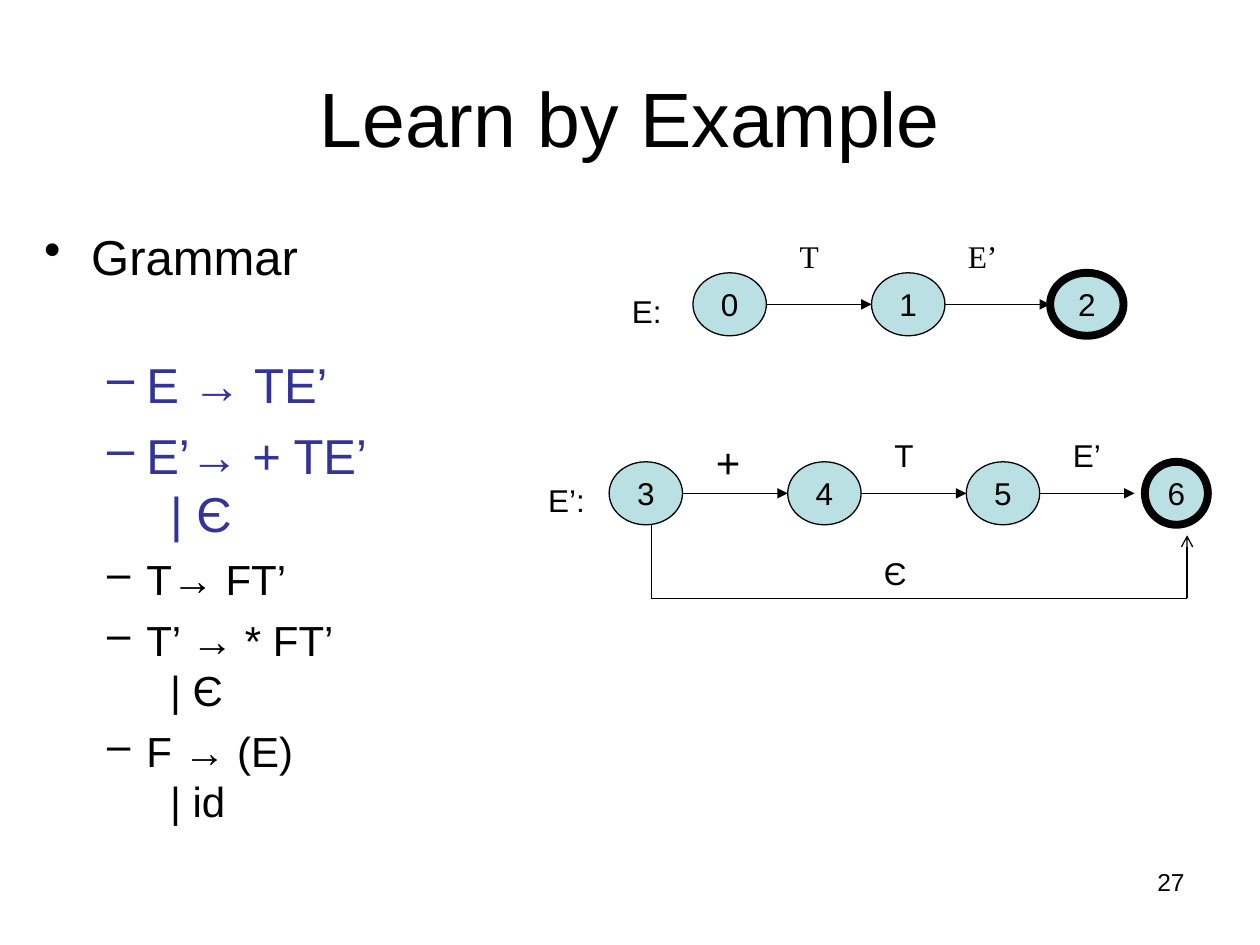
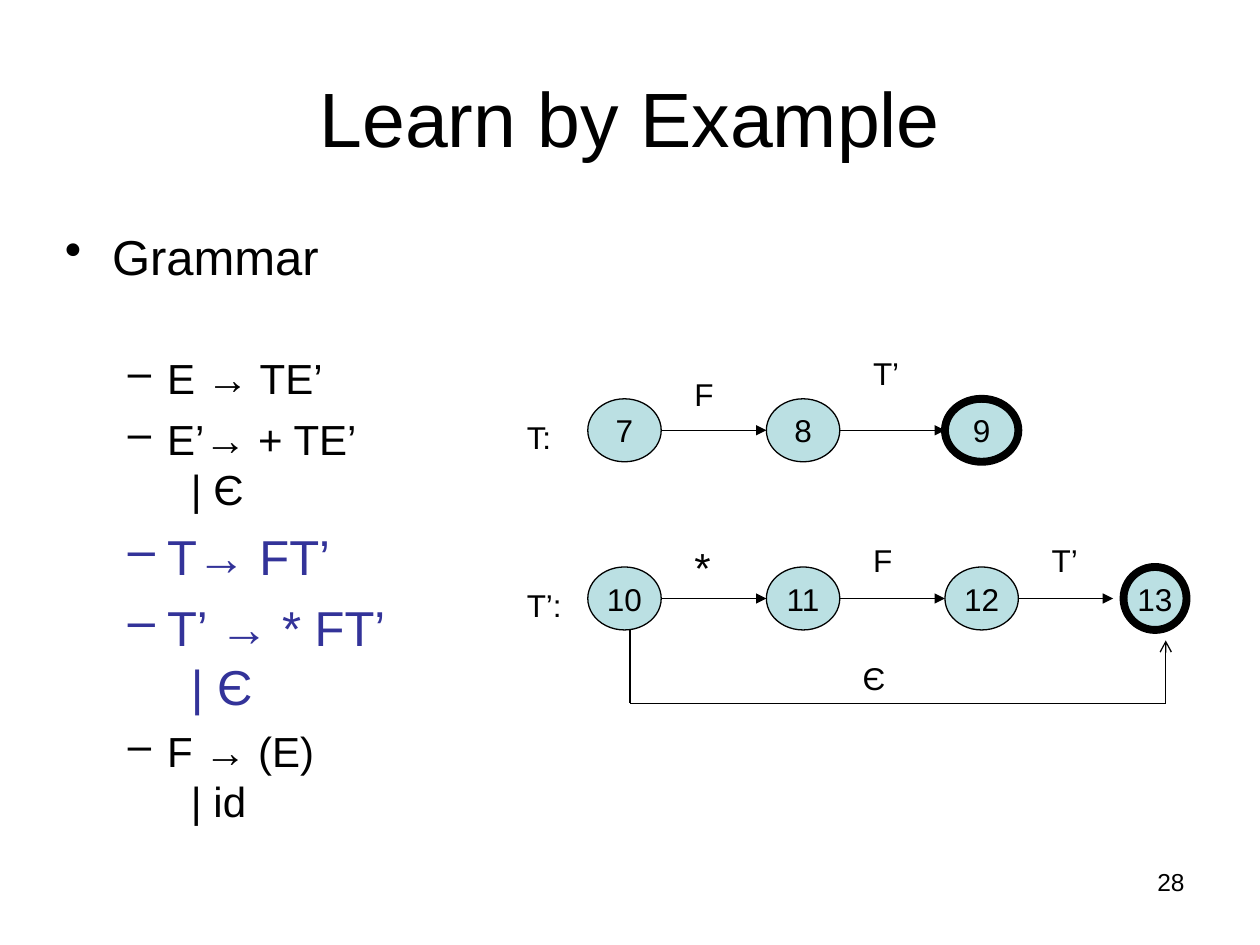
from dataclasses import dataclass

from lxml import etree
from pptx import Presentation
from pptx.dml.color import RGBColor
from pptx.enum.shapes import MSO_CONNECTOR, MSO_SHAPE
from pptx.enum.text import MSO_ANCHOR, MSO_AUTO_SIZE, PP_ALIGN
from pptx.oxml.ns import qn
from pptx.util import Cm, Pt

STRAIGHT = MSO_CONNECTOR.STRAIGHT
ELLIPSE = MSO_SHAPE.OVAL
MIDDLE = MSO_ANCHOR.MIDDLE
TOP = MSO_ANCHOR.TOP
GROW = MSO_AUTO_SIZE.SHAPE_TO_FIT_TEXT
LEFT, CENTER, RIGHT = PP_ALIGN.LEFT, PP_ALIGN.CENTER, PP_ALIGN.RIGHT

STEP = 3.6
NODE_WIDTH = 1.48
NODE_HEIGHT = 1.27
LOOP_END_WIDTH = 1.27
TAB_STOP = 2.54


@dataclass(frozen=True)
class Theme:
    font: str = "Arial"
    serif: str = "Times New Roman"
    ink: str = "000000"
    accent: str = "333399"
    node_fill: str = "BBE0E3"
    title_size: int = 44
    large: int = 28
    medium: int = 24
    label: int = 18
    footer: int = 14
    thin: float = 0.75
    thick: float = 4.5


THEME = Theme()


@dataclass(frozen=True)
class Edge:
    text: str
    rise: float = 0.64
    width: float = 1.27
    shift: float = 1.9
    font: str = THEME.font
    size: int = THEME.label


@dataclass(frozen=True)
class Automaton:
    name: str
    left: float
    top: float
    first_state: int
    edges: tuple
    loop: bool = False


def write(paragraph, text, size=THEME.label, color=THEME.ink, font=THEME.font, align=LEFT):
    paragraph.text = text
    paragraph.alignment = align
    for span in paragraph.runs:
        span.font.size = Pt(size)
        span.font.name = font
        span.font.color.rgb = RGBColor.from_string(color)


def add_bullet(paragraph, mark, color, margin, hanging):
    properties = paragraph._p.get_or_add_pPr()
    properties.set("marL", str(Cm(margin)))
    properties.set("indent", str(-Cm(hanging)))
    bullet_color = etree.SubElement(properties, qn("a:buClr"))
    etree.SubElement(bullet_color, qn("a:srgbClr"), val=color)
    etree.SubElement(properties, qn("a:buChar"), char=mark)
    tabs = etree.SubElement(properties, qn("a:tabLst"))
    etree.SubElement(tabs, qn("a:tab"), pos=str(Cm(TAB_STOP)), algn="l")


class DeckBuilder:
    def __init__(self, theme):
        self.theme = theme
        self.deck = Presentation()
        self.deck.slide_width = Cm(25.4)
        self.deck.slide_height = Cm(19.05)
        self.page = None

    def add_page(self, title, number):
        self.page = self.deck.slides.add_slide(self.deck.slide_layouts[5])
        box = self.page.shapes.title
        box.left, box.top, box.width, box.height = Cm(1.27), Cm(0.76), Cm(22.86), Cm(3.18)
        box.text_frame.vertical_anchor = MIDDLE
        write(box.text_frame.paragraphs[0], title, size=self.theme.title_size, align=CENTER)
        self.add_text(str(number), 18.2, 17.35, 5.93, 1.32,
                      size=self.theme.footer, align=RIGHT)

    def add_box(self, left, top, width, height):
        box = self.page.shapes.add_textbox(Cm(left), Cm(top), Cm(width), Cm(height))
        box.text_frame.word_wrap = True
        box.text_frame.vertical_anchor = TOP
        return box

    def add_text(self, text, left, top, width, height, grow=False, **style):
        frame = self.add_box(left, top, width, height).text_frame
        if grow:
            frame.auto_size = GROW
        write(frame.paragraphs[0], text, **style)

    def add_label(self, text, left, top, width, size=THEME.label, font=THEME.font):
        height = 1.02 if size == self.theme.label else 1.27
        self.add_text(text, left, top, width, height, grow=True, size=size, font=font)

    def add_grammar(self, rules, highlighted, left, width):
        theme = self.theme
        frame = self.add_box(left, 4.45, width, 12.57).text_frame
        heading = frame.paragraphs[0]
        write(heading, "Grammar", size=theme.large)
        heading.space_before = Pt(7)
        heading.space_after = Pt(32)
        add_bullet(heading, "•", theme.ink, 0.95, 0.95)
        for index, rule in enumerate(rules):
            active = index in highlighted
            size = theme.large if active else theme.medium
            color = theme.accent if active else theme.ink
            paragraph = frame.add_paragraph()
            paragraph.level = 1
            write(paragraph, rule, size=size, color=color)
            paragraph.space_before = Pt(size / 4)
            paragraph.space_after = Pt(0)
            add_bullet(paragraph, "–", color, 2.06, 0.79)

    def add_node(self, text, left, top, width, final):
        theme = self.theme
        node = self.page.shapes.add_shape(
            ELLIPSE, Cm(left), Cm(top), Cm(width), Cm(NODE_HEIGHT))
        node.shadow.inherit = False
        node.fill.solid()
        node.fill.fore_color.rgb = RGBColor.from_string(theme.node_fill)
        node.line.color.rgb = RGBColor.from_string(theme.ink)
        node.line.width = Pt(theme.thick if final else theme.thin)
        node.text_frame.word_wrap = False
        node.text_frame.vertical_anchor = MIDDLE
        write(node.text_frame.paragraphs[0], text, align=CENTER)

    def add_line(self, start, end, head=None):
        line = self.page.shapes.add_connector(
            STRAIGHT, Cm(start[0]), Cm(start[1]), Cm(end[0]), Cm(end[1]))
        line.line.color.rgb = RGBColor.from_string(self.theme.ink)
        line.line.width = Pt(self.theme.thin)
        if head:
            etree.SubElement(line.line._get_or_add_ln(), qn("a:tailEnd"), type=head)
        etree.SubElement(line._element.spPr, qn("a:effectLst"))

    def add_loop(self, left, top):
        bottom = top + NODE_HEIGHT
        start, end, floor = left + 0.85, left + 3 * STEP + 0.85, bottom + 1.48
        self.add_line((start, bottom), (start, floor))
        self.add_line((start, floor), (end, floor))
        self.add_line((end, floor), (end, bottom + 0.21), "arrow")
        self.add_label("Є", left + 5.29, top + 1.74, 0.85)

    def add_automaton(self, automaton):
        left, top = automaton.left, automaton.top
        last = len(automaton.edges)
        middle = top + NODE_HEIGHT / 2
        self.add_label(automaton.name, left - 1.48, top + 0.26, 1.48)
        for index in range(last + 1):
            final = index == last
            width = LOOP_END_WIDTH if final and automaton.loop else NODE_WIDTH
            self.add_node(str(automaton.first_state + index),
                          left + index * STEP, top, width, final)
        for index, edge in enumerate(automaton.edges):
            origin = left + index * STEP
            gap = 0.21 if automaton.loop and index == last - 1 else 0
            self.add_line((origin + NODE_WIDTH, middle),
                          (origin + STEP - gap, middle), "triangle")
            self.add_label(edge.text, origin + edge.shift, top - edge.rise,
                           edge.width, edge.size, edge.font)
        if automaton.loop:
            self.add_loop(left, top)


RULES = ("E → TE’", "E’→ + TE’\n\t| Є", "T→ FT’", "T’ → * FT’\n\t| Є", "F → (E)\n\t| id")


def loop_edges(operator, operand, rest):
    return (Edge(operator, size=THEME.medium), Edge(operand, width=0.85),
            Edge(rest, width=1.48))


def main():
    builder = DeckBuilder(THEME)

    builder.add_page("Learn by Example", 27)
    builder.add_grammar(RULES, (0, 1), 0.64, 9.31)
    builder.add_automaton(Automaton("E:", 13.97, 5.5, 0, (
        Edge("T", rise=0.85, width=1.06, font=THEME.serif),
        Edge("E’", rise=0.85, shift=1.69, font=THEME.serif))))
    builder.add_automaton(Automaton(
        "E’:", 12.28, 9.31, 3, loop_edges("+", "T", "E’"), loop=True))

    builder.add_page("Learn by Example", 28)
    builder.add_grammar(RULES, (2, 3), 1.06, 8.47)
    builder.add_automaton(Automaton("T:", 11.85, 8.04, 7, (
        Edge("F", rise=0.6), Edge("T’", rise=1.02))))
    builder.add_automaton(Automaton(
        "T’:", 11.85, 11.43, 10, loop_edges("*", "F", "T’"), loop=True))

    builder.deck.save("out.pptx")


if __name__ == "__main__":
    main()
